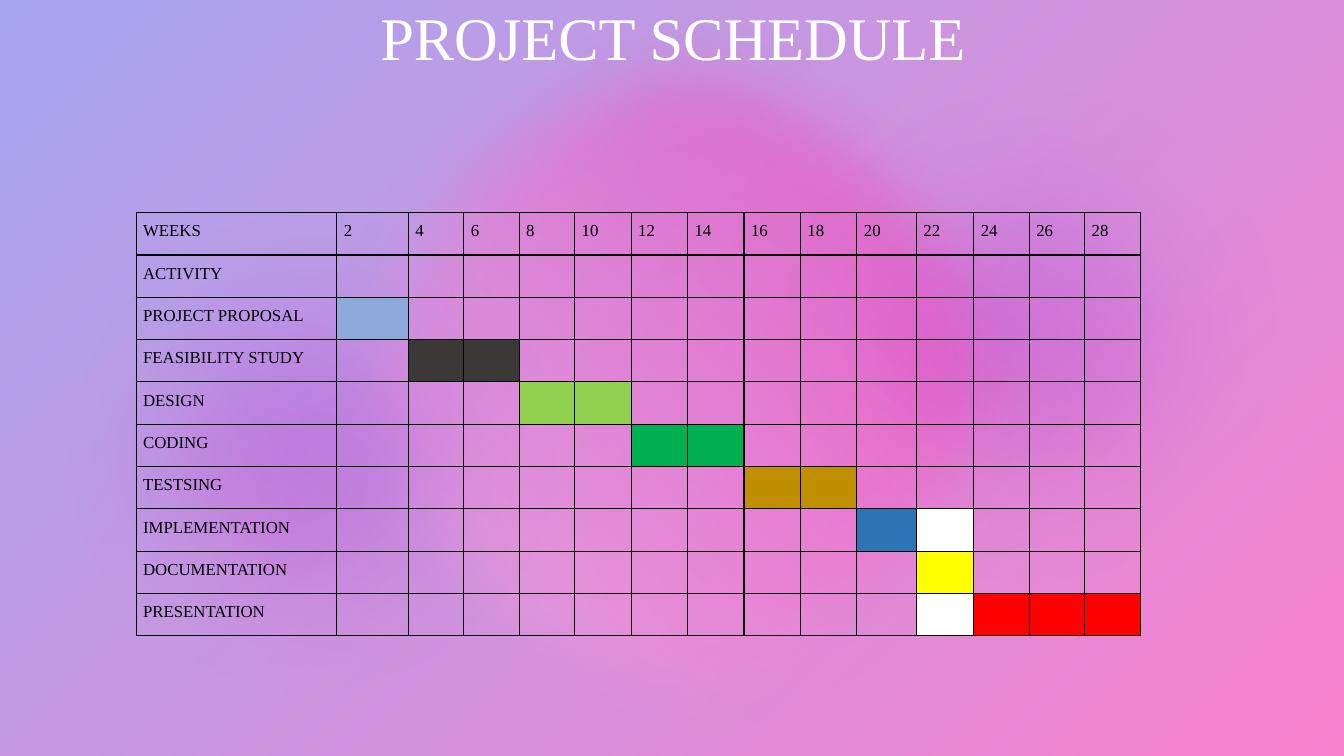
from dataclasses import dataclass

from lxml import etree
from pptx import Presentation
from pptx.dml.color import RGBColor
from pptx.enum.shapes import MSO_SHAPE
from pptx.enum.text import MSO_ANCHOR, PP_ALIGN
from pptx.oxml import parse_xml
from pptx.oxml.ns import nsdecls, qn
from pptx.util import Inches, Pt

RECTANGLE = MSO_SHAPE.RECTANGLE
OVAL = MSO_SHAPE.OVAL
CENTER = PP_ALIGN.CENTER
TOP = MSO_ANCHOR.TOP
BOTTOM = MSO_ANCHOR.BOTTOM


@dataclass(frozen=True)
class Theme:
    font: str = "Times New Roman"
    title_size: float = 43.2
    cell_size: float = 12
    title_color: str = "FFFFFF"
    text_color: str = "000000"
    border_color: str = "000000"
    border_width: float = 1
    indigo: str = "4D4EE6"
    violet: str = "7162FE"
    magenta: str = "F900A0"
    blush: str = "FFCBEC"
    veil: str = "EEEEEE"


THEME = Theme()
SLIDE_WIDTH, SLIDE_HEIGHT = 13.33, 7.5
FULL_SLIDE = (0, 0, SLIDE_WIDTH, SLIDE_HEIGHT)

TITLE = "PROJECT SCHEDULE"
TITLE_BOX = (0.18, 0.1, 12.99, 0.68)

WEEKS = list(range(2, 30, 2))
ACTIVITIES = [
    ("ACTIVITY", {}),
    ("PROJECT PROPOSAL", {"8EAADB": [2]}),
    ("FEASIBILITY STUDY", {"3B3838": [4, 6]}),
    ("DESIGN", {"92D050": [8, 10]}),
    ("CODING", {"00B050": [12, 14]}),
    ("TESTSING", {"BF8F00": [16, 18]}),
    ("IMPLEMENTATION", {"2E74B5": [20], "FFFFFF": [22]}),
    ("DOCUMENTATION", {"FFFF00": [22]}),
    ("PRESENTATION", {"FFFFFF": [22], "FF0000": [24, 26, 28]}),
]
TABLE_LEFT, TABLE_TOP = 1.35, 2.11
COLUMN_WIDTHS = [1.99, 0.71] + [0.55] * 3 + [0.56] * 5 + [0.59, 0.57] + [0.55] * 3
ROW_HEIGHT = 0.42

BACKDROP = [
    (RECTANGLE, FULL_SLIDE, [(THEME.indigo, 60), (THEME.magenta, 60)], 0),
    (RECTANGLE, FULL_SLIDE, [(THEME.veil, 20)], 0),
    (OVAL, (3, 0, 7.5, 7.5), [(THEME.blush, 40), (THEME.magenta, 40)], 50),
    (OVAL, (0.08, 1.31, 6.11, 6.28), [(THEME.magenta, 40), (THEME.violet, 20)], 100),
    (OVAL, (7.05, 0.21, 6.3, 6.28), [(THEME.magenta, 20), (THEME.violet, 40)], 100),
]


def color_xml(color, opacity):
    return f'<a:srgbClr val="{color}"><a:alpha val="{opacity * 1000}"/></a:srgbClr>'


def fill_xml(stops):
    if len(stops) == 1:
        return f'<a:solidFill {nsdecls("a")}>{color_xml(*stops[0])}</a:solidFill>'
    stop_xml = "".join(
        f'<a:gs pos="{index * 100000}">{color_xml(*stop)}</a:gs>'
        for index, stop in enumerate(stops)
    )
    return (
        f'<a:gradFill {nsdecls("a")} rotWithShape="1"><a:gsLst>{stop_xml}</a:gsLst>'
        '<a:lin ang="2700000" scaled="0"/></a:gradFill>'
    )


def add_backdrop(slide):
    for kind, box, stops, softness in BACKDROP:
        shape = slide.shapes.add_shape(kind, *map(Inches, box))
        shape.shadow.inherit = False
        shape.line.fill.background()
        properties = shape._element.spPr
        properties.find(qn("a:prstGeom")).addnext(parse_xml(fill_xml(stops)))
        if softness:
            shape.rotation = 270
            effects = properties.find(qn("a:effectLst"))
            etree.SubElement(effects, qn("a:softEdge"), rad=str(Pt(softness)))


def style_font(font, size, color):
    font.name = THEME.font
    font.size = Pt(size)
    font.bold = False
    font.color.rgb = RGBColor.from_string(color)


def place_title(slide):
    title = slide.shapes.title
    slide.shapes._spTree.append(title._element)
    title.left, title.top, title.width, title.height = map(Inches, TITLE_BOX)
    title.text_frame.vertical_anchor = BOTTOM
    paragraph = title.text_frame.paragraphs[0]
    paragraph.alignment = CENTER
    paragraph.line_spacing = 0.9
    run = paragraph.add_run()
    run.text = TITLE
    style_font(run.font, THEME.title_size, THEME.title_color)


def add_borders(cell):
    properties = cell._tc.get_or_add_tcPr()
    for side in ("lnL", "lnR", "lnT", "lnB"):
        properties.append(parse_xml(
            f'<a:{side} {nsdecls("a")} w="{Pt(THEME.border_width)}"><a:solidFill>'
            f'<a:srgbClr val="{THEME.border_color}"/></a:solidFill></a:{side}>'
        ))


def format_cell(cell, text, fill):
    add_borders(cell)
    if fill:
        cell.fill.solid()
        cell.fill.fore_color.rgb = RGBColor.from_string(fill)
    else:
        cell.fill.background()
    cell.margin_left = cell.margin_right = Inches(0.07)
    cell.margin_top = cell.margin_bottom = 0
    cell.vertical_anchor = TOP
    paragraph = cell.text_frame.paragraphs[0]
    paragraph.line_spacing = 1.5
    paragraph.space_after = Pt(8)
    style_font(paragraph.font, THEME.cell_size, THEME.text_color)
    if text:
        run = paragraph.add_run()
        run.text = text
        style_font(run.font, THEME.cell_size, THEME.text_color)


def add_schedule(slide):
    row_count = len(ACTIVITIES) + 1
    table = slide.shapes.add_table(
        row_count, len(COLUMN_WIDTHS), Inches(TABLE_LEFT), Inches(TABLE_TOP),
        Inches(sum(COLUMN_WIDTHS)), Inches(ROW_HEIGHT * row_count),
    ).table
    table.first_row = table.horz_banding = False
    for column, width in zip(table.columns, COLUMN_WIDTHS):
        column.width = Inches(width)
    for row in table.rows:
        row.height = Inches(ROW_HEIGHT)

    for index, text in enumerate(["WEEKS"] + [str(week) for week in WEEKS]):
        format_cell(table.cell(0, index), text, None)
    for row_index, (activity, bars) in enumerate(ACTIVITIES, 1):
        format_cell(table.cell(row_index, 0), activity, None)
        week_fills = {week: color for color, weeks in bars.items() for week in weeks}
        for column_index, week in enumerate(WEEKS, 1):
            format_cell(table.cell(row_index, column_index), "", week_fills.get(week))


def main():
    presentation = Presentation()
    presentation.slide_width = Inches(SLIDE_WIDTH)
    presentation.slide_height = Inches(SLIDE_HEIGHT)
    slide = presentation.slides.add_slide(presentation.slide_layouts[0])
    subtitle = slide.placeholders[1]._element
    subtitle.getparent().remove(subtitle)
    add_backdrop(slide)
    place_title(slide)
    add_schedule(slide)
    presentation.save("out.pptx")


if __name__ == "__main__":
    main()
